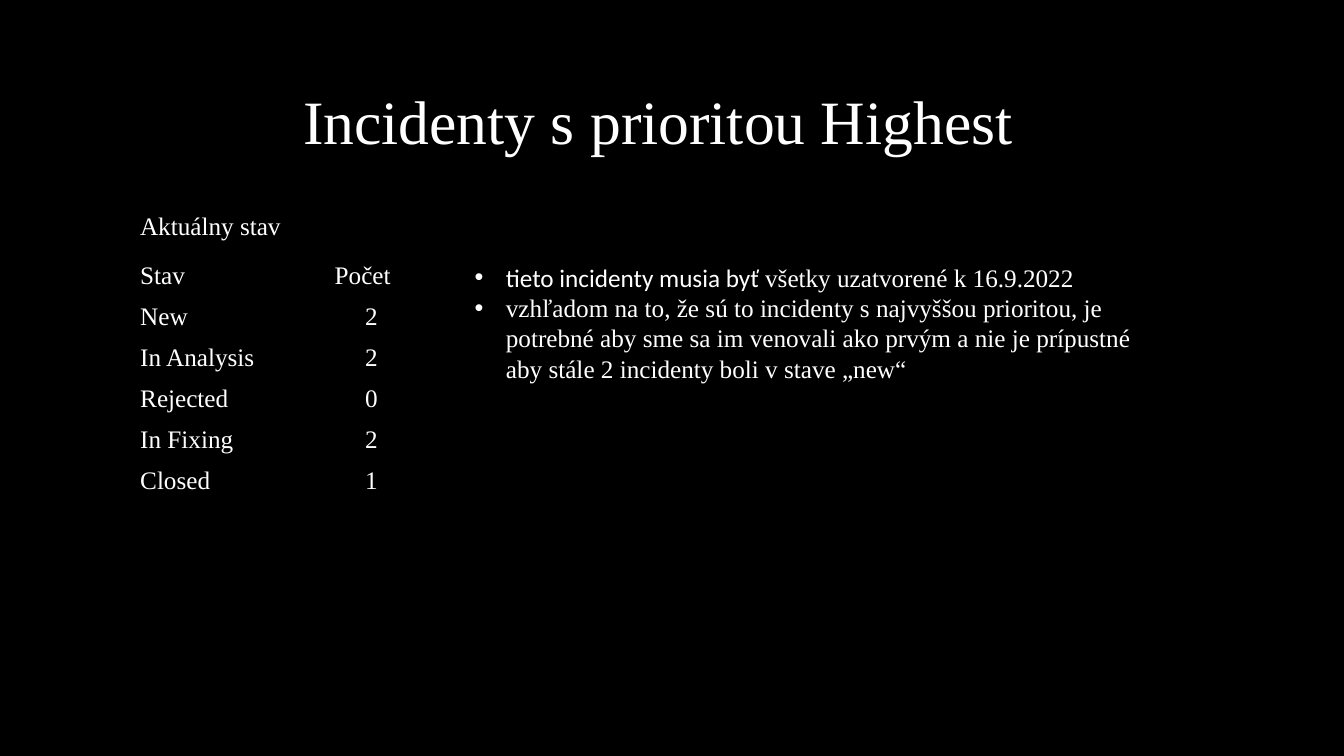
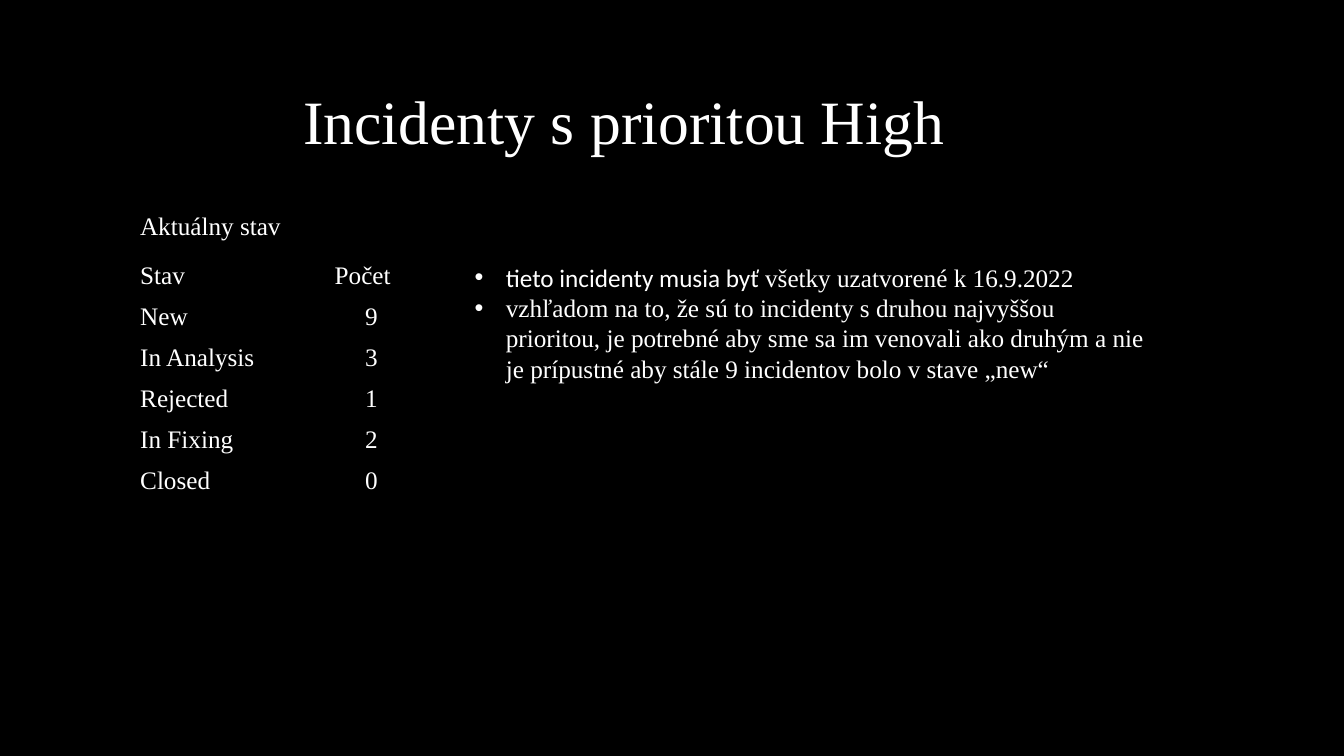
from dataclasses import dataclass

from lxml.etree import SubElement
from pptx import Presentation
from pptx.dml.color import RGBColor
from pptx.enum.text import MSO_ANCHOR, MSO_AUTO_SIZE, PP_ALIGN
from pptx.oxml.ns import qn
from pptx.slide import Slide
from pptx.text.text import TextFrame, _Paragraph
from pptx.util import Cm, Pt

BLACK = RGBColor(0x00, 0x00, 0x00)
WHITE = RGBColor(0xFF, 0xFF, 0xFF)
SERIF = "Times New Roman"
SANS = "Calibri"
NO_GRID = "{2D5ABB26-0587-4C30-8999-92F81FD0307C}"

LEFT, TOP = 3.28, 6.48
COLS = (4.9, 2.36)
ROW = 1.03
INDENT = 0.79
STATES = ("New", "In Analysis", "Rejected", "In Fixing", "Closed")


@dataclass(frozen=True)
class Box:
    left: float
    top: float
    width: float
    height: float


TITLE = Box(7.39, 1.3, 19.05, 3.68)
LABEL = Box(LEFT, 5.26, 5.31, 0.94)
NOTES = Box(11.71, TOP, 17.6, 3.33)


@dataclass(frozen=True)
class Report:
    level: str
    counts: tuple[int, ...]
    remark: str


REPORTS = (
    Report(
        "Highest",
        (2, 2, 0, 2, 1),
        "vzhľadom na to, že sú to incidenty s najvyššou prioritou, je potrebné "
        "aby sme sa im venovali ako prvým a nie je prípustné aby stále "
        "2 incidenty boli v stave „new“",
    ),
    Report(
        "High",
        (9, 3, 1, 2, 0),
        "vzhľadom na to, že sú to incidenty s druhou najvyššou prioritou, je "
        "potrebné aby sme sa im venovali ako druhým a nie je prípustné aby "
        "stále 9 incidentov bolo v stave „new“",
    ),
)


def add_run(para: _Paragraph, text: str, size: int = 18, font: str = SERIF) -> None:
    run = para.add_run()
    run.text = text
    run.font.size = Pt(size)
    run.font.name = font
    run.font.color.rgb = WHITE


def add_box(slide: Slide, box: Box) -> TextFrame:
    shape = slide.shapes.add_textbox(
        Cm(box.left), Cm(box.top), Cm(box.width), Cm(box.height)
    )
    frame = shape.text_frame
    frame.word_wrap = True
    frame.auto_size = MSO_AUTO_SIZE.SHAPE_TO_FIT_TEXT
    return frame


def add_head(slide: Slide, box: Box, text: str, size: int) -> TextFrame:
    frame = add_box(slide, box)
    para = frame.paragraphs[0]
    para.line_spacing = 0.9
    add_run(para, text, size)
    return frame


def set_bullet(para: _Paragraph) -> None:
    props = para._p.get_or_add_pPr()
    props.set("marL", str(Cm(INDENT)))
    props.set("indent", str(-Cm(INDENT)))
    SubElement(props, qn("a:buFont"), typeface="Arial")
    SubElement(props, qn("a:buChar"), char="•")


def add_counts(slide: Slide, counts: tuple[int, ...]) -> None:
    """Draw the table of states and their counts."""
    rows = [("Stav", "Počet"), *zip(STATES, map(str, counts))]
    table = slide.shapes.add_table(
        len(rows), len(COLS), Cm(LEFT), Cm(TOP), Cm(sum(COLS)), Cm(ROW * len(rows))
    ).table
    table.first_row = table.horz_banding = False
    table._tbl.tblPr.find(qn("a:tableStyleId")).text = NO_GRID
    for col, width in zip(table.columns, COLS):
        col.width = Cm(width)
    for r, row in enumerate(rows):
        table.rows[r].height = Cm(ROW)
        for c, text in enumerate(row):
            cell = table.cell(r, c)
            cell.fill.background()
            para = cell.text_frame.paragraphs[0]
            if r and c:
                para.alignment = PP_ALIGN.CENTER
            add_run(para, text)


def add_notes(slide: Slide, remark: str) -> None:
    frame = add_box(slide, NOTES)
    due = frame.paragraphs[0]
    set_bullet(due)
    add_run(due, "tieto incidenty musia byť ", font=SANS)
    add_run(due, "všetky uzatvorené k 16.9.2022")
    para = frame.add_paragraph()
    set_bullet(para)
    add_run(para, remark)


def add_report(slide: Slide, report: Report) -> None:
    title = add_head(slide, TITLE, f"Incidenty s prioritou {report.level}", 44)
    title.auto_size = MSO_AUTO_SIZE.NONE
    title.vertical_anchor = MSO_ANCHOR.MIDDLE
    add_head(slide, LABEL, "Aktuálny stav", 18)
    add_counts(slide, report.counts)
    add_notes(slide, report.remark)


def main() -> None:
    deck = Presentation()
    deck.slide_width, deck.slide_height = Cm(33.87), Cm(19.05)
    fill = deck.slide_master.background.fill
    fill.solid()
    fill.fore_color.rgb = BLACK
    for report in REPORTS:
        add_report(deck.slides.add_slide(deck.slide_layouts[6]), report)
    deck.save("out.pptx")


if __name__ == "__main__":
    main()
